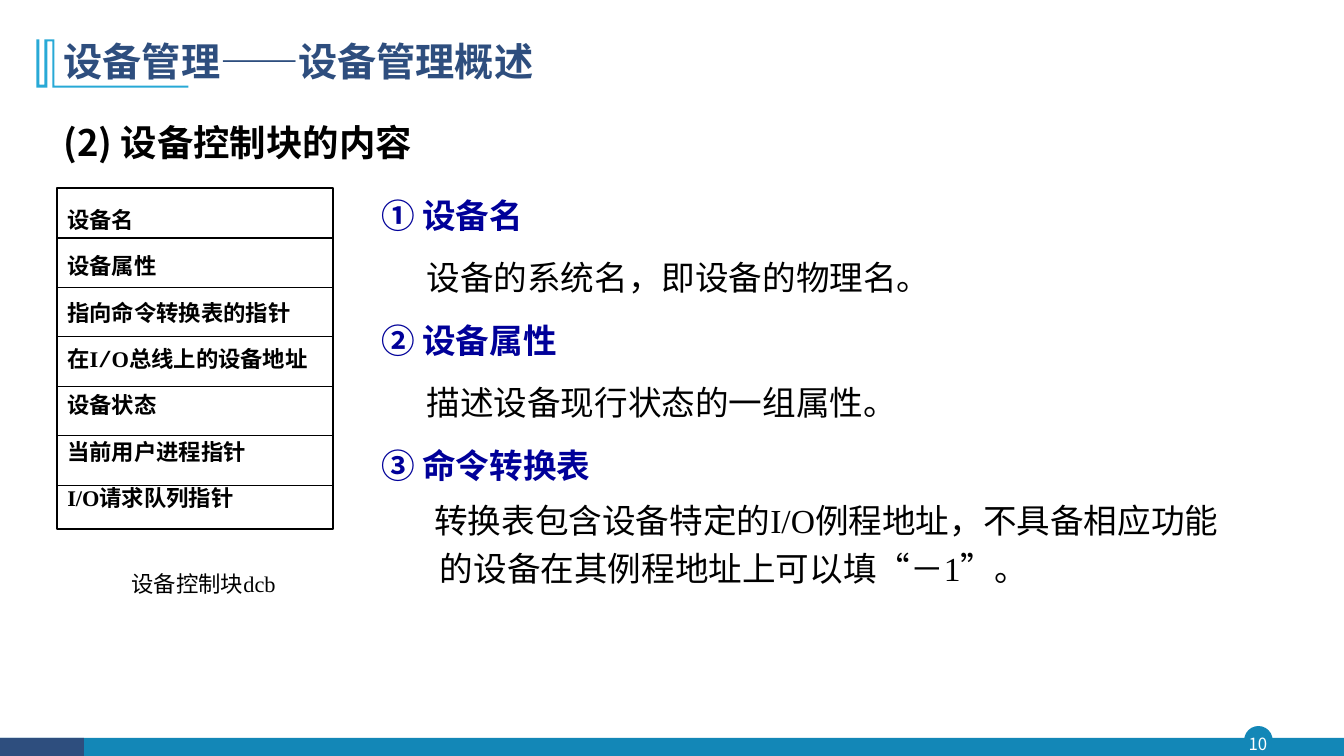
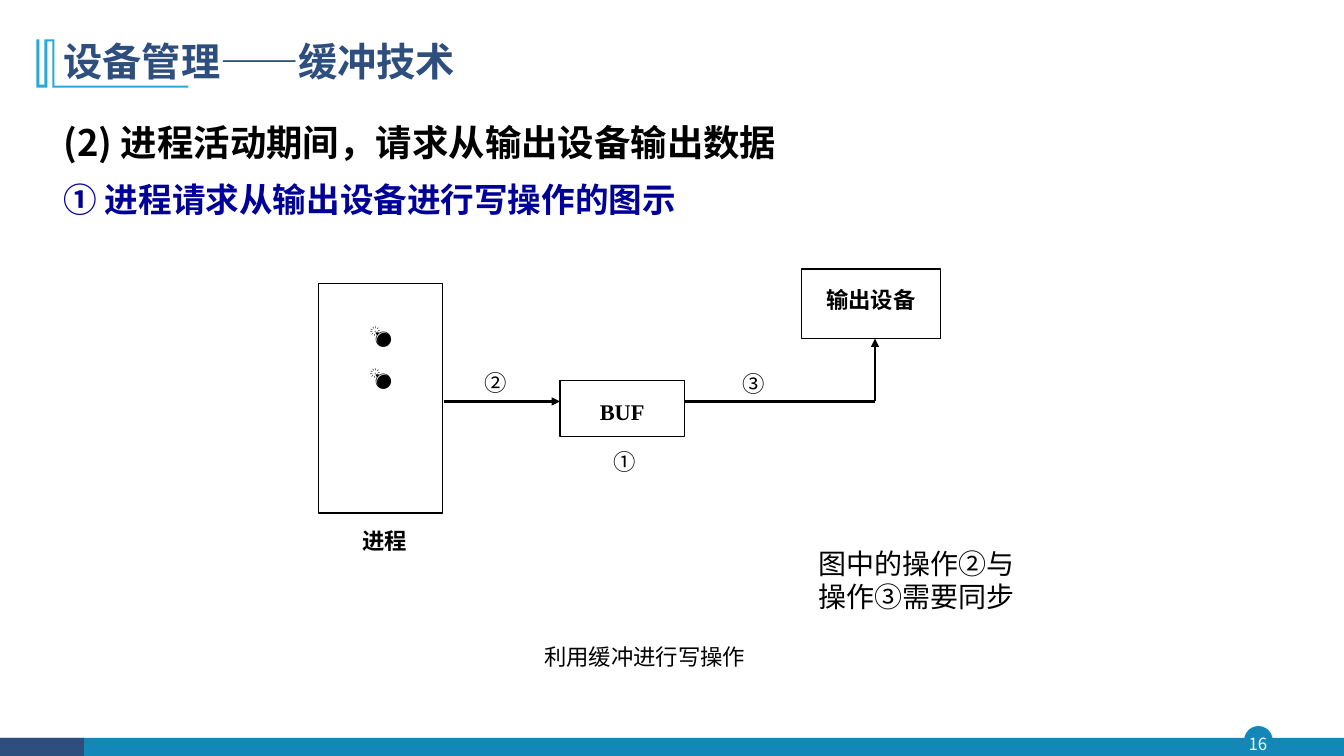
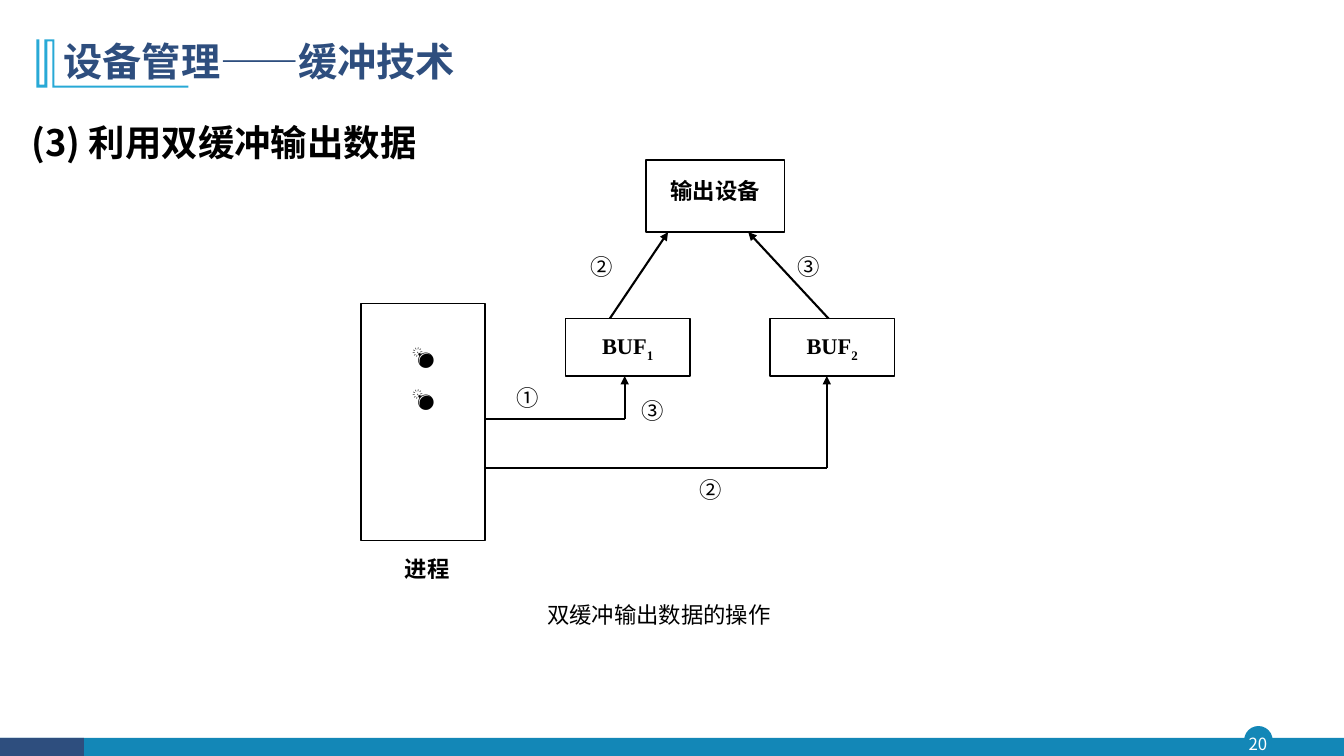
"""Build three slides on device management and buffering."""
from dataclasses import dataclass

from lxml.etree import SubElement
from pptx import Presentation
from pptx.dml.color import RGBColor
from pptx.enum.shapes import MSO_CONNECTOR, MSO_SHAPE
from pptx.enum.text import MSO_ANCHOR, MSO_AUTO_SIZE, PP_ALIGN
from pptx.oxml.ns import qn
from pptx.util import Pt


@dataclass(frozen=True)
class Theme:
    navy: str = "2E4E7E"
    teal: str = "1387B7"
    cyan: str = "28A9D6"
    blue: str = "000099"
    ink: str = "000000"
    white: str = "FFFFFF"
    sans: str = "Noto Sans CJK SC"
    serif: str = "Times New Roman"
    mono: str = "Courier New"
    title: int = 28
    head: int = 26
    item: int = 24
    note: int = 20
    label: int = 16
    page: int = 12


T = Theme()
HEAD = dict(size=T.head, face=T.sans, bold=True, line=48)
TERM = dict(size=T.item, color=T.blue, bold=True, line=37.4, margin=42, hang=-42)
CELL = dict(bold=True, line=28)
MID = dict(CELL, align=PP_ALIGN.CENTER)


def say(frame, *runs, size=T.label, face=T.serif, color=T.ink, bold=False,
        line=20, gap=0, margin=0, hang=0, align=PP_ALIGN.LEFT):
    first = frame.paragraphs[0]
    para = frame.add_paragraph() if first.runs else first
    props = para._p.get_or_add_pPr()
    props.set("marL", str(Pt(margin)))
    props.set("indent", str(Pt(hang)))
    SubElement(props, qn("a:buNone"))
    para.alignment = align
    para.line_spacing = Pt(line)
    para.space_before = Pt(gap)
    para.space_after = Pt(0)
    for part in runs:
        words, tweak = (part, {}) if isinstance(part, str) else part
        run = para.add_run()
        run.text = words
        font = run.font
        font.size, font.bold = Pt(size), bold
        font.color.rgb = RGBColor.from_string(color)
        font.name = tweak.get("face", face)
        mark = font._element
        SubElement(mark, qn("a:ea")).set("typeface", T.sans)
        if "base" in tweak:
            mark.set("baseline", str(tweak["base"] * 1000))


def prep(shape, anchor=MSO_ANCHOR.TOP):
    frame = shape.text_frame
    frame.word_wrap = True
    frame.auto_size = MSO_AUTO_SIZE.NONE
    frame.vertical_anchor = anchor
    return frame


def area(slide, left, top, width, height):
    return prep(slide.shapes.add_textbox(Pt(left), Pt(top), Pt(width), Pt(height)))


def body(slide, left, top, width, height):
    shape = slide.placeholders[1]
    shape.left, shape.top, shape.width, shape.height = map(Pt, (left, top, width, height))
    return prep(shape)


def paint(shape, fill=None, line=None, weight=1):
    shape.shadow.inherit = False
    if fill:
        shape.fill.solid()
        shape.fill.fore_color.rgb = RGBColor.from_string(fill)
    else:
        shape.fill.background()
    if line:
        shape.line.color.rgb = RGBColor.from_string(line)
        shape.line.width = Pt(weight)
    else:
        shape.line.fill.background()
    return shape


def block(slide, left, top, width, height, kind=MSO_SHAPE.RECTANGLE, **look):
    shape = slide.shapes.add_shape(kind, Pt(left), Pt(top), Pt(width), Pt(height))
    return paint(shape, **look)


def box(slide, left, top, width, height, *runs):
    frame = prep(block(slide, left, top, width, height, line=T.ink))
    if runs:
        say(frame, *runs, **MID)


def edge(slide, start, end, weight=1.5, arrow=False):
    line = slide.shapes.add_connector(MSO_CONNECTOR.STRAIGHT, *map(Pt, start + end))
    line.line.color.rgb = RGBColor.from_string(T.ink)
    line.line.width = Pt(weight)
    if arrow:
        SubElement(line.line._get_or_add_ln(), qn("a:tailEnd")).set("type", "triangle")
    SubElement(line._element.spPr, qn("a:effectLst"))


def route(slide, *stops):
    for start, end in zip(stops, stops[1:]):
        edge(slide, start, end, arrow=end == stops[-1])


def steps(slide, *marks):
    for mark, left, top in marks:
        say(area(slide, left, top, 42, 27), mark, face=T.sans)


def task(slide, left, top, height):
    box(slide, left, top, 88.6, height)
    say(area(slide, left + 3, top + height - 2, 88.6, 40), "进程", **MID)
    for drop in (15, 45):
        say(area(slide, left + 21, top + drop, 47, 40), "💣", face=T.sans, **MID)


def badge(slide):
    spots = [(38.9, 28.1), (38.9, 61.2), (134.6, 61.2), (134.6, 62.6), (37.4, 62.6),
             (37.4, 29.5), (33.8, 29.5), (33.8, 62.6), (25.9, 62.6), (25.9, 28.1),
             (28.1, 28.1), (28.1, 60.5), (31.7, 60.5), (31.7, 28.1)]
    dots = [(Pt(x), Pt(y)) for x, y in spots]
    path = slide.shapes.build_freeform(*dots[0])
    path.add_line_segments(dots[1:], close=True)
    return paint(path.convert_to_shape(), fill=T.cyan)


def dress(slide):
    layout = slide.slide_layout
    parts = (
        block(slide, 889.2, 519.1, 19.4, 19.4, MSO_SHAPE.OVAL, fill=T.teal, line=T.teal),
        block(slide, 0, 527, 960, 13, fill=T.teal),
        block(slide, 0, 527, 60, 13, fill=T.navy),
        badge(slide),
    )
    for part in parts:
        layout.shapes.element.append(part.element)
    title = layout.placeholders[0]
    title.left, title.top, title.width, title.height = map(Pt, (38.2, 24.5, 755, 40))


def start(deck, title, page):
    slide = deck.slides.add_slide(deck.slide_layouts[1])
    if len(deck.slides) == 1:
        dress(slide)
    say(prep(slide.shapes.title, MSO_ANCHOR.MIDDLE), title, size=T.title,
        face=T.sans, color=T.navy, bold=True, line=31)
    frame = area(slide, 887, 519, 23, 22.4)
    frame.margin_left = frame.margin_right = frame.margin_top = frame.margin_bottom = 0
    frame.vertical_anchor = MSO_ANCHOR.MIDDLE
    say(frame, page, size=T.page, face=T.sans, color=T.white, line=16,
        align=PP_ALIGN.CENTER)
    return slide


def fields(slide):
    frame = prep(block(slide, 41, 134.6, 196.6, 243.4, line=T.ink, weight=1.5))
    rows = (["设备名"], ["设备属性"], ["指向命令转换表的指针"],
            ["在I", ("/", {"face": T.mono}), "O总线上的设备地址"],
            ["设备状态"], ["当前用户进程指针"], ["I/O请求队列指针"])
    for spot, row in enumerate(rows):
        say(frame, *row, gap=5.2 if spot else 0, **CELL)
    for spot in range(len(rows) - 1):
        level = 170 + 35.3 * spot
        edge(slide, (41, level), (237.6, level), weight=0.75)


def control(deck):
    slide = start(deck, "设备管理——设备管理概述", "10")
    say(area(slide, 38.2, 65.5, 650, 49), "(2) 设备控制块的内容", **HEAD)
    fields(slide)
    say(area(slide, 87, 403.2, 125, 27), "设备控制块dcb")
    frame = body(slide, 265, 127, 631, 307)
    plain = dict(size=T.item, line=37.4, gap=7.2, margin=32.4)
    say(frame, "① 设备名", **TERM)
    say(frame, "设备的系统名，即设备的物理名。", **plain)
    say(frame, "② 设备属性", gap=7.2, **TERM)
    say(frame, "描述设备现行状态的一组属性。", **plain)
    say(frame, "③ 命令转换表", gap=7.2, **TERM)
    say(frame, "转换表包含设备特定的I/O例程地址，不具备相应功能的设备在其例程地址上可以填“－1”。",
        size=T.item, line=34.4, gap=5, margin=42, hang=-4)


def single(deck):
    slide = start(deck, "设备管理——缓冲技术", "16")
    frame = body(slide, 38.2, 65.5, 655, 96)
    say(frame, "(2) 进程活动期间，请求从输出设备输出数据", **HEAD)
    say(frame, "① 进程请求从输出设备进行写操作的图示", **dict(TERM, line=34.4, gap=4.8))
    task(slide, 227.5, 202.3, 164.2)
    box(slide, 572.4, 192.2, 99.4, 49.7, "输出设备")
    box(slide, 400, 271.8, 88.9, 39.9, "BUF")
    route(slide, (316.8, 286.8), (400, 286.8))
    route(slide, (488.9, 286.8), (625, 286.8), (625, 241.9))
    steps(slide, ("①", 431.3, 315.7), ("②", 339.1, 259.2), ("③", 523.4, 259.9))
    frame = area(slide, 577.5, 389, 170, 52)
    say(frame, "图中的操作②与", size=T.note, line=21.6)
    say(frame, "操作③需要同步", size=T.note, line=21.6, gap=2)
    say(area(slide, 381.6, 455, 166, 27), "利用缓冲进行写操作")


def double(deck):
    slide = start(deck, "设备管理——缓冲技术", "20")
    say(body(slide, 15.3, 65.5, 450, 49), "(3) 利用双缓冲输出数据", **HEAD)
    task(slide, 257.9, 216.7, 169.6)
    box(slide, 461.3, 114.3, 99.3, 51.5, "输出设备")
    for left, mark in ((403.9, "1"), (550, "2")):
        box(slide, left, 227.5, 88.9, 41.1, "BUF", (mark, {"base": -25}))
    route(slide, (346.5, 299.5), (446.2, 299.5), (446.2, 268.6))
    route(slide, (345.6, 334.2), (590.6, 334.2), (590.6, 268.6))
    route(slide, (435.6, 227.5), (477.2, 165.8))
    route(slide, (591.8, 227.5), (534.5, 165.8))
    steps(slide, ("①", 362.2, 270), ("②", 414.7, 176.4), ("③", 451.4, 279.4),
          ("②", 492.5, 335.9), ("③", 562.3, 176.4))
    say(area(slide, 383.8, 424.8, 199, 27), "双缓冲输出数据的操作")


def main():
    deck = Presentation()
    deck.slide_width, deck.slide_height = Pt(960), Pt(540)
    for build in (control, single, double):
        build(deck)
    deck.save("out.pptx")


if __name__ == "__main__":
    main()
